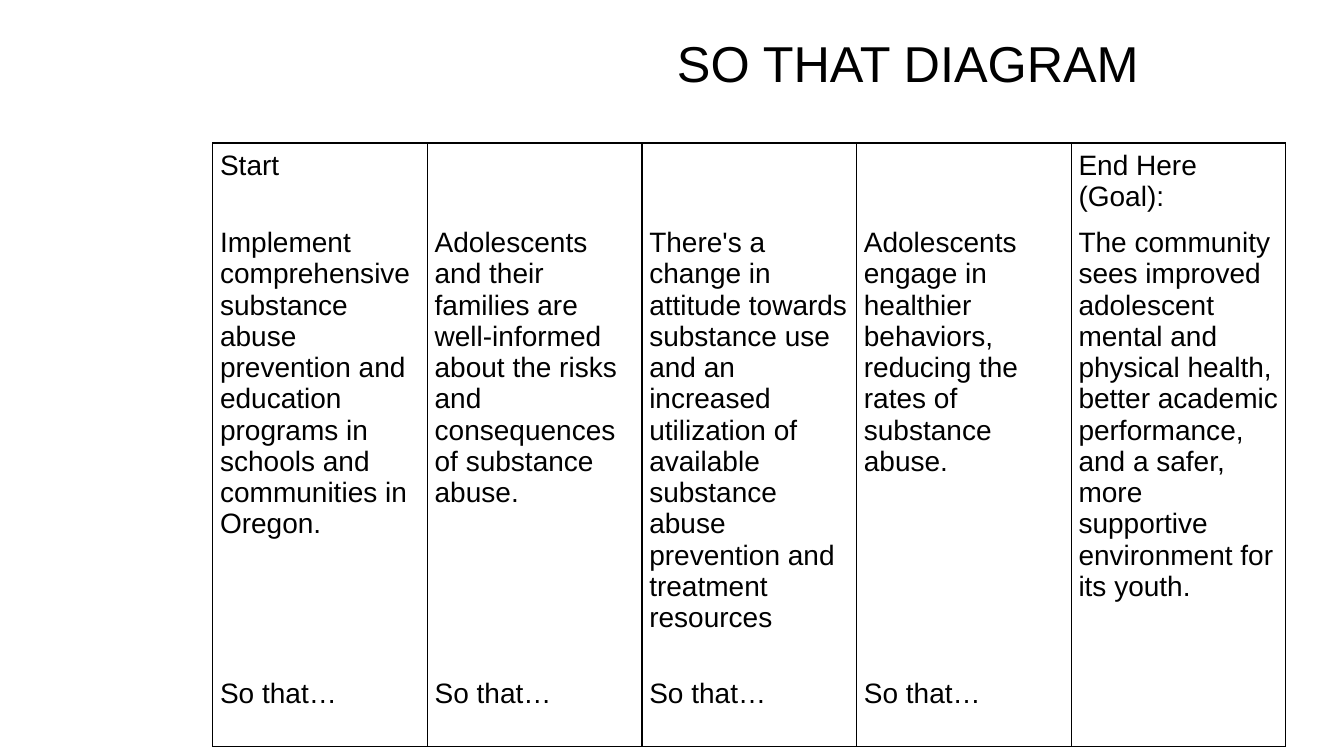
from dataclasses import dataclass

from lxml.etree import SubElement
from pptx import Presentation
from pptx.dml.color import RGBColor
from pptx.enum.text import MSO_ANCHOR, MSO_AUTO_SIZE, PP_ALIGN
from pptx.oxml.ns import qn
from pptx.util import Pt

TITLE = "SO THAT DIAGRAM"
LINK = "So that…"
STEPS = [
    ("Start", "Implement comprehensive substance abuse prevention and education "
     "programs in schools and communities in Oregon.", LINK),
    ("", "Adolescents and their families are well-informed about the risks and "
     "consequences of substance abuse.", LINK),
    ("", "There's a change in attitude towards substance use and an increased "
     "utilization of available substance abuse prevention and treatment resources", LINK),
    ("", "Adolescents engage in healthier behaviors, reducing the rates of "
     "substance abuse.", LINK),
    ("End Here (Goal):", "The community sees improved adolescent mental and physical "
     "health, better academic performance, and a safer, more supportive environment "
     "for its youth.", ""),
]


@dataclass(frozen=True)
class Theme:
    """Colours, font and type sizes of the slide."""
    font: str = "Arial"
    ink: str = "000000"
    title_size: int = 36
    body_size: int = 20
    border: int = 1


THEME = Theme()
SLIDE_SIZE = (960, 540)
TITLE_BOX = (319.7, 23.8, 501.1, 46.8)
TABLE_LEFT, TABLE_TOP, TABLE_WIDTH = 152, 102.2, 766.5
ROW_HEIGHTS = [54.5, 322, 54]
CELL_MARGIN = 5.2


def style_font(font, size):
    """Apply the theme font at the given size."""
    font.name = THEME.font
    font.size = Pt(size)
    font.color.rgb = RGBColor.from_string(THEME.ink)


def add_border(cell, side, visible):
    """Draw or hide one edge of a table cell."""
    properties = cell._tc.get_or_add_tcPr()
    line = SubElement(properties, qn(f"a:ln{side}"), w=str(Pt(THEME.border)))
    if visible:
        fill = SubElement(line, qn("a:solidFill"))
        SubElement(fill, qn("a:srgbClr"), val=THEME.ink)
    else:
        SubElement(line, qn("a:noFill"))


def add_title(slide):
    """Place and format the title."""
    title = slide.shapes.title
    title.left, title.top, title.width, title.height = map(Pt, TITLE_BOX)
    frame = title.text_frame
    frame.text = TITLE
    frame.auto_size = MSO_AUTO_SIZE.NONE
    frame.vertical_anchor = MSO_ANCHOR.MIDDLE
    paragraph = frame.paragraphs[0]
    paragraph.alignment = PP_ALIGN.RIGHT
    paragraph.line_spacing = 0.9
    style_font(paragraph.runs[0].font, THEME.title_size)


def fill_cell(cell, text, first_row, last_row):
    """Write one cell and set its margins, borders and fill."""
    cell.text = text
    cell.margin_left = cell.margin_right = Pt(CELL_MARGIN)
    cell.margin_top = cell.margin_bottom = Pt(CELL_MARGIN)
    style_font(cell.text_frame.paragraphs[0].font, THEME.body_size)
    for run in cell.text_frame.paragraphs[0].runs:
        style_font(run.font, THEME.body_size)
    for side, visible in (("L", True), ("R", True), ("T", first_row), ("B", last_row)):
        add_border(cell, side, visible)
    cell.fill.background()


def add_steps(slide):
    """Build the table with one column per step."""
    row_count = len(ROW_HEIGHTS)
    table = slide.shapes.add_table(
        row_count, len(STEPS), Pt(TABLE_LEFT), Pt(TABLE_TOP),
        Pt(TABLE_WIDTH), Pt(sum(ROW_HEIGHTS))).table
    table.first_row = table.horz_banding = False
    for row, height in zip(table.rows, ROW_HEIGHTS):
        row.height = Pt(height)
    for column_index, step in enumerate(STEPS):
        table.columns[column_index].width = Pt(TABLE_WIDTH / len(STEPS))
        for row_index, text in enumerate(step):
            fill_cell(table.cell(row_index, column_index), text,
                      row_index == 0, row_index == row_count - 1)


def main():
    """Build and save the slide."""
    presentation = Presentation()
    presentation.slide_width, presentation.slide_height = map(Pt, SLIDE_SIZE)
    slide = presentation.slides.add_slide(presentation.slide_layouts[5])
    add_title(slide)
    add_steps(slide)
    presentation.save("out.pptx")


if __name__ == "__main__":
    main()
